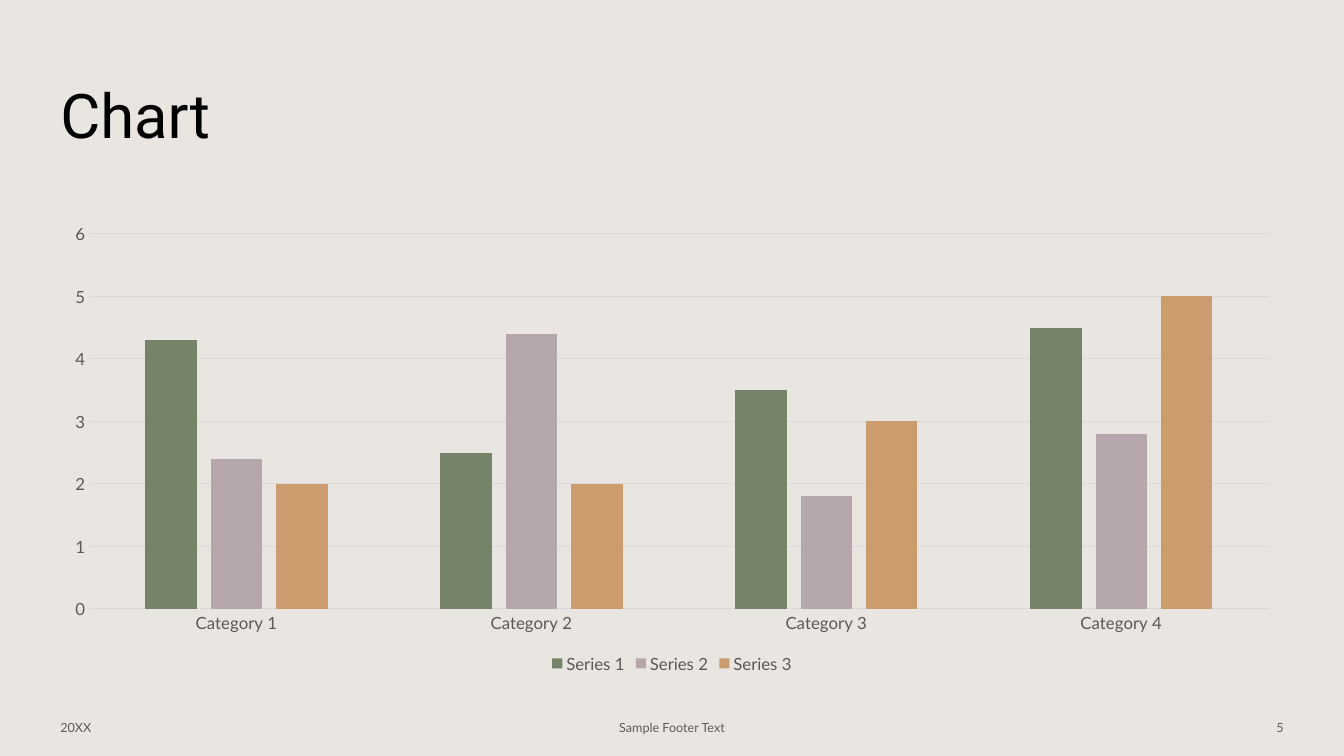
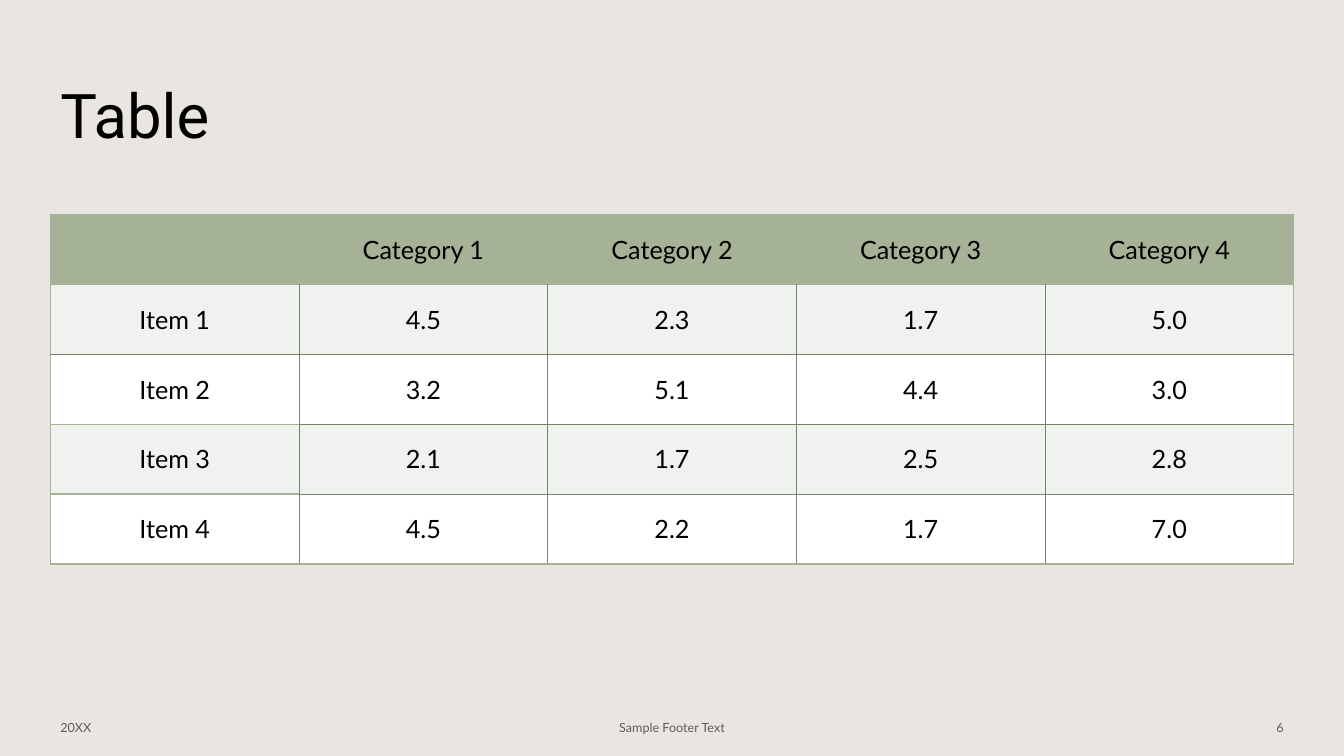
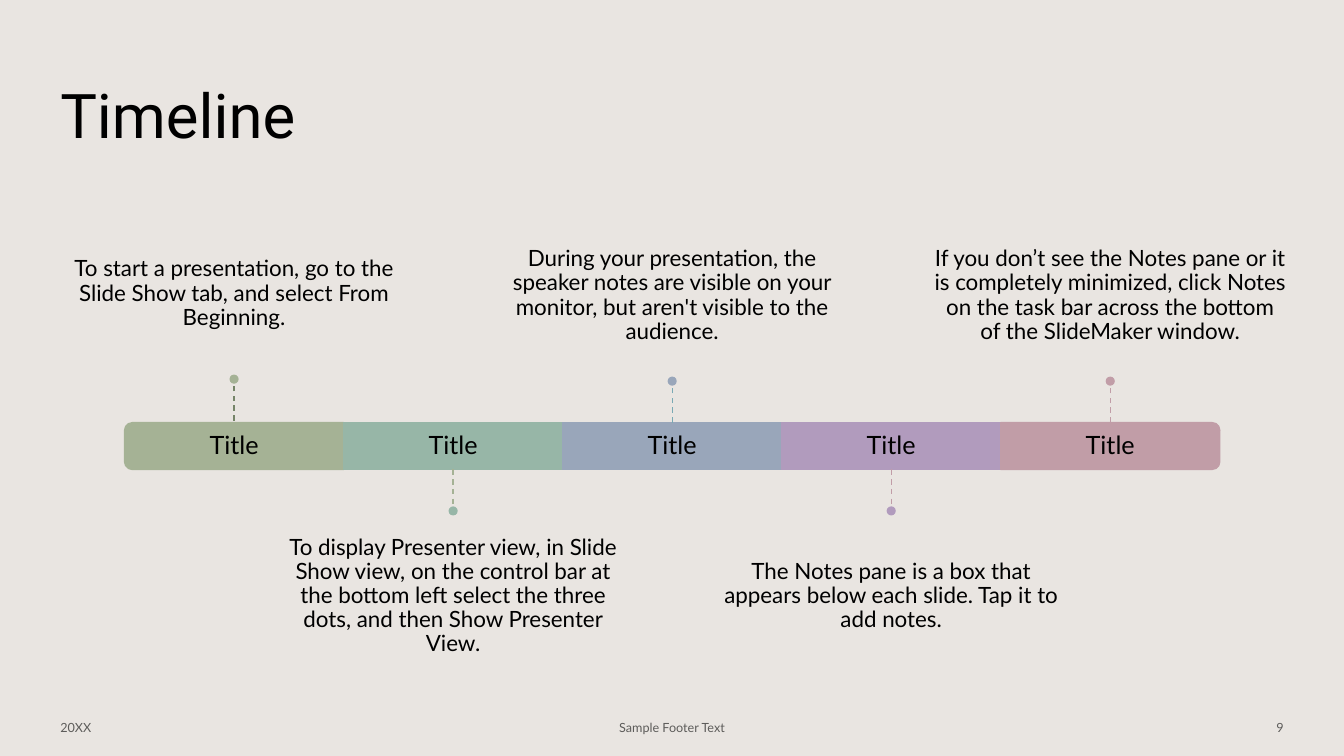
"""Build a chart, a table and a timeline slide that share one title and footer style."""
from lxml.etree import SubElement
from pptx import Presentation
from pptx.chart.data import CategoryChartData
from pptx.dml.color import RGBColor
from pptx.enum.chart import XL_CHART_TYPE, XL_LEGEND_POSITION, XL_TICK_MARK
from pptx.enum.dml import MSO_LINE
from pptx.enum.shapes import MSO_CONNECTOR, MSO_SHAPE
from pptx.enum.text import MSO_ANCHOR, PP_ALIGN
from pptx.oxml.ns import qn
from pptx.util import Cm, Pt

PAPER = RGBColor(0xE9, 0xE5, 0xE1)
BLACK = RGBColor(0x00, 0x00, 0x00)
WHITE = RGBColor(0xFF, 0xFF, 0xFF)
FOOT = RGBColor(0x5D, 0x5C, 0x5A)
GREY = RGBColor(0x59, 0x59, 0x59)
GRID = RGBColor(0xD9, 0xD9, 0xD9)
MOSS = RGBColor(0x75, 0x84, 0x68)
MAUVE = RGBColor(0xB5, 0xA7, 0xAC)
OCHRE = RGBColor(0xCC, 0x9C, 0x6F)
SAGE = RGBColor(0xA5, 0xB2, 0x95)
MIST = RGBColor(0xF0, 0xF2, 0xEF)
MINT = RGBColor(0x97, 0xB6, 0xA7)
STEEL = RGBColor(0x99, 0xA6, 0xBA)
TEAL = RGBColor(0x79, 0xA9, 0xB4)
LILAC = RGBColor(0xB1, 0x9B, 0xBD)
ROSE = RGBColor(0xC1, 0x9D, 0xA7)

BODY = "Lato"
LEFT, TOP, WIDTH = 1.27, 5.41, 31.33


def write(tf, text, size, color=BLACK, align=PP_ALIGN.CENTER, font=BODY):
    p = tf.paragraphs[0]
    p.alignment = align
    r = p.add_run()
    r.text = text
    r.font.size, r.font.name, r.font.color.rgb = Pt(size), font, color
    return p


def add_text(s, box, text, size, inset=(0.25, 0.13), spacing=1, **style):
    tf = s.shapes.add_textbox(*map(Cm, box)).text_frame
    tf.word_wrap = True
    tf.vertical_anchor = MSO_ANCHOR.MIDDLE
    tf.margin_left = tf.margin_right = Cm(inset[0])
    tf.margin_top = tf.margin_bottom = Cm(inset[1])
    write(tf, text, size, **style).line_spacing = spacing


prs = Presentation()
prs.slide_width, prs.slide_height = Cm(33.87), Cm(19.05)
bg = prs.slide_master.background.fill
bg.solid()
bg.fore_color.rgb = PAPER

slides = []
for title, number in (("Chart", "5"), ("Table", "6"), ("Timeline", "9")):
    s = prs.slides.add_slide(prs.slide_layouts[6])
    slides.append(s)
    add_text(s, (LEFT, 1.02, 30.28, 3.68), title, 44, align=PP_ALIGN.LEFT, font="Roboto")
    for x, w, text, align in (
        (LEFT, 7.62, "20XX", PP_ALIGN.LEFT),
        (11.22, 11.43, "Sample Footer Text", PP_ALIGN.CENTER),
        (24.98, 7.62, number, PP_ALIGN.RIGHT),
    ):
        add_text(s, (x, 17.83, w, 1.02), text, 9, color=FOOT, align=align)
chart_slide, table_slide, timeline_slide = slides

data = CategoryChartData()
data.categories = [f"Category {n}" for n in range(1, 5)]
data.add_series("Series 1", (4.3, 2.5, 3.5, 4.5))
data.add_series("Series 2", (2.4, 4.4, 1.8, 2.8))
data.add_series("Series 3", (2, 2, 3, 5))
chart = chart_slide.shapes.add_chart(
    XL_CHART_TYPE.COLUMN_CLUSTERED, Cm(LEFT), Cm(TOP), Cm(WIDTH), Cm(11.66), data
).chart
chart.font.name, chart.font.size, chart.font.color.rgb = BODY, Pt(12), GREY
chart.has_title = False
chart.has_legend = True
chart.legend.position = XL_LEGEND_POSITION.BOTTOM
chart.legend.include_in_layout = False
plot = chart.plots[0]
plot.gap_width, plot.overlap, plot.vary_by_categories = 219, -27, False
for series, color in zip(plot.series, (MOSS, MAUVE, OCHRE)):
    series.format.fill.solid()
    series.format.fill.fore_color.rgb = color
cat_axis, val_axis = chart.category_axis, chart.value_axis
for axis in (cat_axis, val_axis):
    axis.major_tick_mark = axis.minor_tick_mark = XL_TICK_MARK.NONE
val_axis.minimum_scale, val_axis.maximum_scale, val_axis.major_unit = 0, 6, 1
val_axis.format.line.fill.background()
for line in (cat_axis.format.line, val_axis.major_gridlines.format.line):
    line.color.rgb, line.width = GRID, Pt(0.75)

rows = (
    ("", "Category 1", "Category 2", "Category 3", "Category 4"),
    ("Item 1", "4.5", "2.3", "1.7", "5.0"),
    ("Item 2", "3.2", "5.1", "4.4", "3.0"),
    ("Item 3", "2.1", "1.7", "2.5", "2.8"),
    ("Item 4", "4.5", "2.2", "1.7", "7.0"),
)
n = len(rows)
row_h = 1.76
table = table_slide.shapes.add_table(
    n, n, Cm(LEFT), Cm(TOP), Cm(WIDTH), Cm(n * row_h)
).table
for i, row in enumerate(rows):
    table.rows[i].height = Cm(row_h)
    for j, text in enumerate(row):
        cell = table.cell(i, j)
        cell.vertical_anchor = MSO_ANCHOR.MIDDLE
        if text:
            write(cell.text_frame, text, 18)
        edges = {
            "L": i == 0 or j == 0,
            "R": i == 0 or j == n - 1,
            "T": i < 2 or (j == 0 and i > 2),
            "B": i in (0, n - 1) or (j == 0 and i > 1),
        }
        tc_pr = cell._tc.get_or_add_tcPr()
        for edge, strong in edges.items():
            ln = SubElement(tc_pr, qn(f"a:ln{edge}"), w=str(Pt(1 if strong else 0.5)))
            fill = SubElement(ln, qn("a:solidFill"))
            SubElement(fill, qn("a:srgbClr"), val=str(SAGE if strong else MOSS))
        cell.fill.solid()
        cell.fill.fore_color.rgb = SAGE if i == 0 else MIST if i % 2 else WHITE

milestones = (
    (SAGE, MOSS, "To start a presentation, go to the Slide Show tab, and select From Beginning."),
    (MINT, SAGE, "To display Presenter view, in Slide Show view, on the control bar at the bottom "
                 "left select the three dots, and then Show Presenter View."),
    (STEEL, TEAL, "During your presentation, the speaker notes are visible on your monitor, "
                  "but aren't visible to the audience."),
    (LILAC, ROSE, "The Notes pane is a box that appears below each slide. Tap it to add notes."),
    (ROSE, ROSE, "If you don’t see the Notes pane or it is completely minimized, click Notes "
                 "on the task bar across the bottom of the SlideMaker window."),
)
bar_w, bar_h, bar_y = 5.52, 1.18, 10.65
note_w, note_h = 9.19, 4.09
stem, dot = 0.93, 0.23
last = len(milestones) - 1
shapes = timeline_slide.shapes
for i, (color, stem_color, note) in enumerate(milestones):
    cx = 16.94 + (i - last / 2) * bar_w
    bar_x = cx - bar_w / 2
    if i in (0, last):
        bar = shapes.add_shape(
            MSO_SHAPE.ROUND_2_SAME_RECTANGLE, Cm(cx - bar_h / 2),
            Cm(bar_y + bar_h / 2 - bar_w / 2), Cm(bar_h), Cm(bar_w))
        bar.rotation = 270 if i == 0 else 90
    else:
        bar = shapes.add_shape(
            MSO_SHAPE.RECTANGLE, Cm(bar_x), Cm(bar_y), Cm(bar_w), Cm(bar_h))
    bar.line.color.rgb, bar.line.width = color, Pt(1)
    add_text(timeline_slide, (bar_x, bar_y, bar_w, bar_h), "Title", 18, (0.1, 0), 0.9)

    lift = 0.05 if i == 0 else 0
    if i % 2:
        start, end = bar_y + bar_h, bar_y + bar_h + stem
        dot_y, note_y = end, 12.98
    else:
        start, end = bar_y - lift, bar_y - stem - lift
        dot_y, note_y = end - dot, TOP - lift
    line = shapes.add_connector(MSO_CONNECTOR.STRAIGHT, Cm(cx), Cm(start), Cm(cx), Cm(end))
    line.line.color.rgb, line.line.width = stem_color, Pt(1)
    line.line.dash_style = MSO_LINE.DASH
    SubElement(line._element.spPr, qn("a:effectLst"))
    marker = shapes.add_shape(
        MSO_SHAPE.OVAL, Cm(cx - dot / 2), Cm(dot_y), Cm(dot), Cm(dot))
    marker.line.fill.background()
    for sp in (bar, marker):
        sp.shadow.inherit = False
        sp.fill.solid()
        sp.fill.fore_color.rgb = color
    add_text(timeline_slide, (cx - note_w / 2, note_y, note_w, note_h), note, 16,
             (0.15, 0.08), 0.9)

prs.save("out.pptx")
